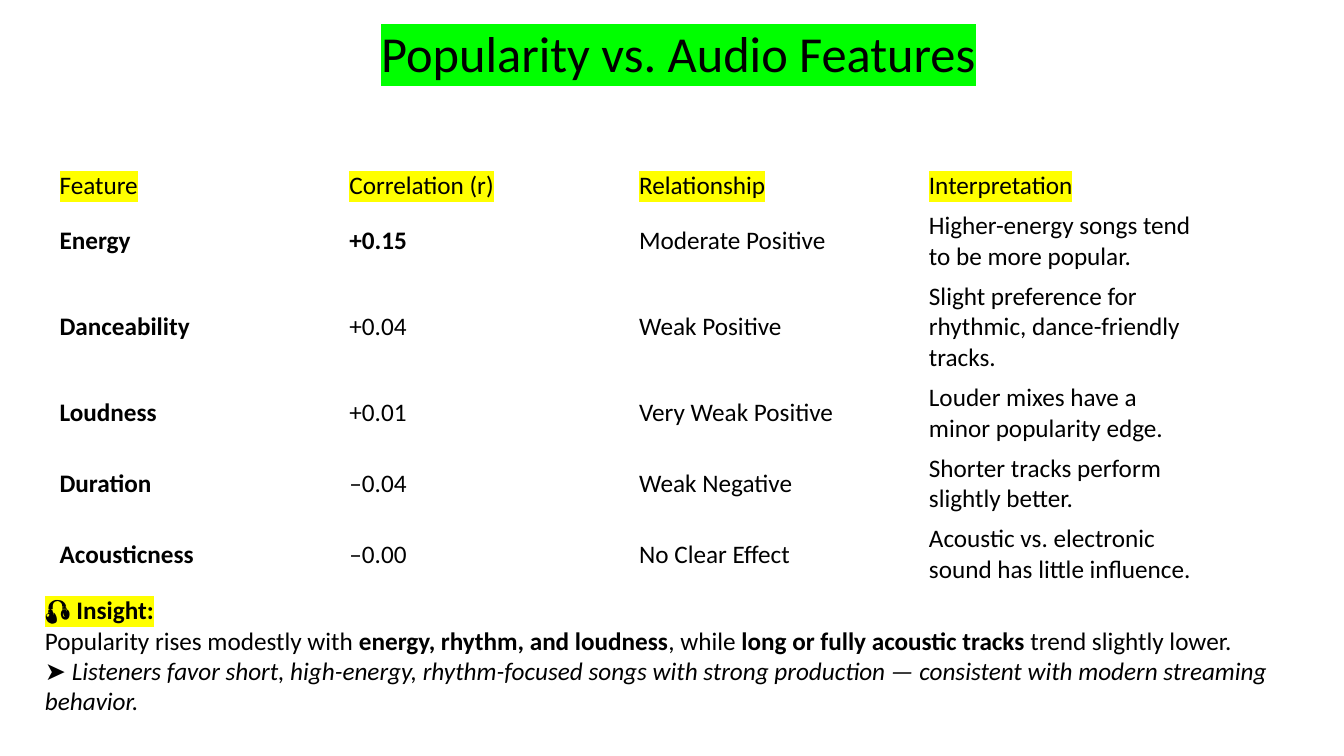
"""Build the slide on song popularity and audio features."""
from lxml.etree import SubElement
from pptx import Presentation
from pptx.dml.color import RGBColor
from pptx.enum.text import MSO_ANCHOR, MSO_AUTO_SIZE, PP_ALIGN
from pptx.oxml.ns import qn
from pptx.util import Pt

TITLE = "Popularity vs. Audio Features"
HEADER = ("Feature", "Correlation (r)", "Relationship", "Interpretation")
FEATURES = [
    ("Energy", "+0.15", "Moderate Positive", "Higher-energy songs tend to be more popular."),
    ("Danceability", "+0.04", "Weak Positive", "Slight preference for rhythmic, dance-friendly tracks."),
    ("Loudness", "+0.01", "Very Weak Positive", "Louder mixes have a minor popularity edge."),
    ("Duration", "–0.04", "Weak Negative", "Shorter tracks perform slightly better."),
    ("Acousticness", "–0.00", "No Clear Effect", "Acoustic vs. electronic sound has little influence."),
]
STRONG_VALUES = {"+0.15"}
INSIGHT_HEADING = "🎧 Insight:"
FINDING = [
    ("Popularity rises modestly with ", False),
    ("energy, rhythm, and loudness", True),
    (", while ", False),
    ("long or fully acoustic tracks", True),
    (" trend slightly lower.", False),
]
ARROW = "➤ "
CONCLUSION = (
    "Listeners favor short, high-energy, rhythm-focused songs with strong production"
    " — consistent with modern streaming behavior."
)

FONT = "Calibri"
BLACK, GREEN, YELLOW = "000000", "00FF00", "FFFF00"
TITLE_SIZE, TEXT_SIZE = 36, 18
LINE_HEIGHT = 22
MARGIN_X, MARGIN_Y = 6.6, 3.2
TABLE_LEFT, TABLE_TOP, TABLE_WIDTH = 36, 118.8, 828
LINES_PER_ROW = (1, 2, 3, 2, 2, 2)


def color(hex_string):
    return RGBColor.from_string(hex_string)


def add_run(paragraph, text, size=TEXT_SIZE, bold=False, italic=False, highlight=None):
    run = paragraph.add_run()
    run.text = text
    font = run.font
    font.size, font.bold, font.italic = Pt(size), bold, italic
    font.color.rgb = color(BLACK)
    font.name = FONT
    if highlight:
        properties = run.font._element
        mark = SubElement(properties, qn("a:highlight"))
        SubElement(mark, qn("a:srgbClr"), val=highlight)
        properties.find(qn("a:solidFill")).addnext(mark)


def add_title(slide):
    title = slide.shapes.title
    title.left, title.top, title.width, title.height = Pt(265), Pt(12.2), Pt(480), Pt(51)
    frame = title.text_frame
    frame.auto_size = MSO_AUTO_SIZE.NONE
    frame.vertical_anchor = MSO_ANCHOR.TOP
    paragraph = frame.paragraphs[0]
    paragraph.alignment = PP_ALIGN.LEFT
    add_run(paragraph, TITLE, TITLE_SIZE, highlight=GREEN)


def add_feature_table(slide):
    heights = [lines * LINE_HEIGHT + 2 * MARGIN_Y for lines in LINES_PER_ROW]
    rows = [HEADER, *FEATURES]
    table = slide.shapes.add_table(
        len(rows), len(HEADER), Pt(TABLE_LEFT), Pt(TABLE_TOP), Pt(TABLE_WIDTH), Pt(sum(heights))
    ).table
    table.first_row = table.horz_banding = False
    for row_index, values in enumerate(rows):
        table.rows[row_index].height = Pt(heights[row_index])
        for column_index, value in enumerate(values):
            cell = table.cell(row_index, column_index)
            cell.fill.background()
            cell.vertical_anchor = MSO_ANCHOR.MIDDLE
            cell.margin_left = cell.margin_right = Pt(MARGIN_X)
            cell.margin_top = cell.margin_bottom = Pt(MARGIN_Y)
            is_header = row_index == 0
            bold = not is_header and (column_index == 0 or value in STRONG_VALUES)
            highlight = YELLOW if is_header else None
            add_run(cell.text_frame.paragraphs[0], value, bold=bold, highlight=highlight)


def add_insight(slide):
    box = slide.shapes.add_textbox(Pt(25), Pt(421.2), Pt(935), Pt(94.5))
    frame = box.text_frame
    frame.word_wrap = True
    paragraph = frame.paragraphs[0]
    add_run(paragraph, INSIGHT_HEADING, bold=True, highlight=YELLOW)
    paragraph.add_line_break()
    for text, bold in FINDING:
        add_run(paragraph, text, bold=bold)
    paragraph = frame.add_paragraph()
    add_run(paragraph, ARROW)
    add_run(paragraph, CONCLUSION, italic=True)


def main():
    presentation = Presentation()
    presentation.slide_width, presentation.slide_height = Pt(960), Pt(540)
    slide = presentation.slides.add_slide(presentation.slide_layouts[5])
    add_title(slide)
    add_feature_table(slide)
    add_insight(slide)
    presentation.save("out.pptx")


if __name__ == "__main__":
    main()
